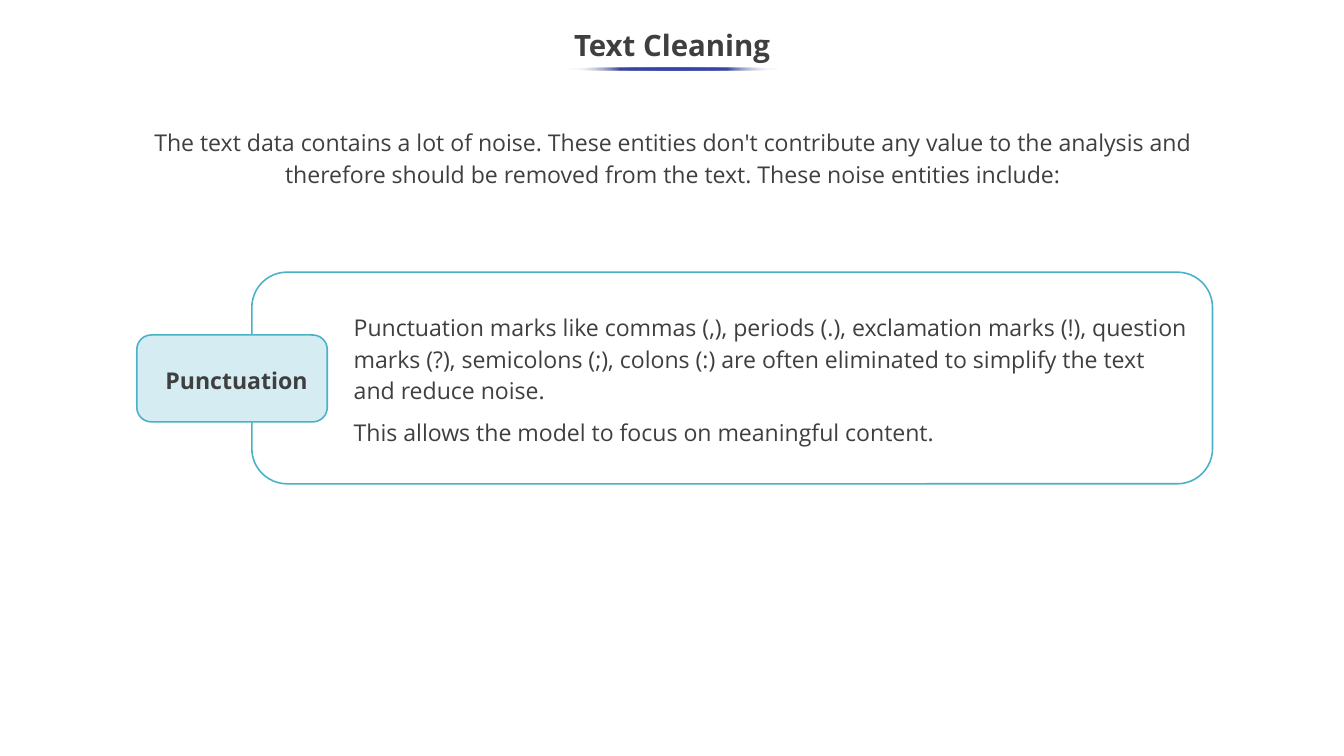
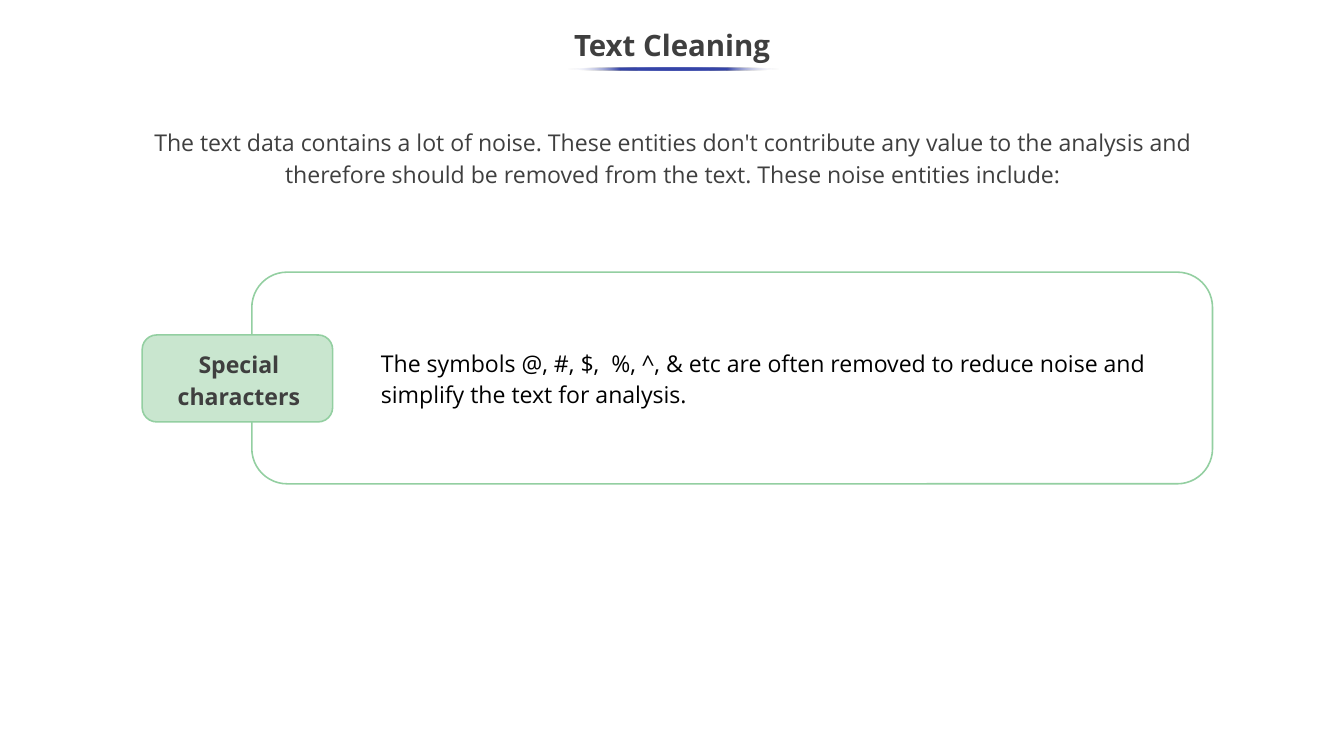
from dataclasses import dataclass

from lxml.etree import SubElement
from pptx import Presentation
from pptx.dml.color import RGBColor
from pptx.enum.shapes import MSO_SHAPE
from pptx.enum.text import MSO_ANCHOR, MSO_AUTO_SIZE, PP_ALIGN
from pptx.oxml.ns import qn
from pptx.util import Pt


@dataclass(frozen=True)
class Theme:
    font: str = "Open Sans"
    title_size: int = 28
    text_size: int = 22
    line_pitch: int = 30
    paragraph_gap: int = 10
    ink: str = "3F3F3F"
    black: str = "000000"
    white: str = "FFFFFF"
    rule: str = "3645A9"
    teal: str = "49B2C8"
    pale_teal: str = "D5EDF2"
    green: str = "93CFA1"
    pale_green: str = "C9E6CF"


THEME = Theme()
TITLE = "Text Cleaning"
INTRO = ("The text data contains a lot of noise. These entities don't contribute any value "
         "to the analysis and therefore should be removed from the text. "
         "These noise entities include:")


@dataclass(frozen=True)
class NoiseEntity:
    name: str
    details: tuple
    line: str
    fill: str
    ink: str
    tab_left: float
    name_area: tuple
    name_align: PP_ALIGN
    details_area: tuple


ENTITIES = (
    NoiseEntity(
        "Punctuation",
        ("Punctuation marks like commas (,), periods (.), exclamation marks (!), question "
         "marks (?), semicolons (;), colons (:) are often eliminated to simplify the text "
         "and reduce noise.",
         "This allows the model to focus on meaningful content."),
        THEME.teal, THEME.pale_teal, THEME.ink, 130.3,
        (150.5, 342, 152, 36), PP_ALIGN.LEFT, (329.8, 291.6, 812, 137)),
    NoiseEntity(
        "Special characters",
        ("The symbols @, #, $,  %, ^, & etc are often removed to reduce noise and "
         "simplify the text for analysis.",),
        THEME.green, THEME.pale_green, THEME.black, 135.4,
        (161.3, 326.9, 132.5, 66), PP_ALIGN.CENTER, (355.7, 325.4, 760, 66)),
)


def place(shape, area):
    shape.left, shape.top, shape.width, shape.height = (Pt(value) for value in area)


def write(frame, texts, size=THEME.text_size, color=THEME.ink, bold=False,
          align=PP_ALIGN.LEFT, spacing=Pt(THEME.line_pitch)):
    """Fill a text frame with one paragraph per text."""
    frame.word_wrap = True
    frame.auto_size = MSO_AUTO_SIZE.NONE
    for index, text in enumerate(texts):
        para = frame.add_paragraph() if index else frame.paragraphs[0]
        para.alignment = align
        para.line_spacing = spacing
        para.space_before = Pt(THEME.paragraph_gap if index else 0)
        span = para.add_run()
        span.text = text
        span.font.name = THEME.font
        span.font.size = Pt(size)
        span.font.bold = bold
        span.font.color.rgb = RGBColor.from_string(color)


def add_text(page, area, texts, **style):
    box = page.shapes.add_textbox(*(Pt(value) for value in area))
    write(box.text_frame, texts, **style)


def add_rounded_box(page, area, fill, line):
    box = page.shapes.add_shape(MSO_SHAPE.ROUNDED_RECTANGLE, *(Pt(value) for value in area))
    box.shadow.inherit = False
    box.fill.solid()
    box.fill.fore_color.rgb = RGBColor.from_string(fill)
    box.line.color.rgb = RGBColor.from_string(line)
    box.line.width = Pt(1.5)


def add_title_rule(page):
    """Thin ellipse that fades out at both ends."""
    rule = page.shapes.add_shape(MSO_SHAPE.OVAL, Pt(540.7), Pt(64.1), Pt(201.6), Pt(2.9))
    rule.shadow.inherit = False
    rule.line.fill.background()
    rule.fill.gradient()
    stops = rule.element.spPr.find(qn("a:gradFill")).find(qn("a:gsLst"))
    for stop in list(stops):
        stops.remove(stop)
    for percent in range(0, 101, 25):
        faded = percent in (0, 100)
        stop = SubElement(stops, qn("a:gs"), pos=str(percent * 1000))
        color = SubElement(stop, qn("a:srgbClr"), val=THEME.white if faded else THEME.rule)
        if faded:
            SubElement(color, qn("a:alpha"), val="0")
    rule.fill.gradient_angle = 180


def add_heading(page):
    title = page.shapes.title
    place(title, (0, 18, 1280, 54))
    title.text_frame.vertical_anchor = MSO_ANCHOR.MIDDLE
    write(title.text_frame, [TITLE], size=THEME.title_size, bold=True,
          align=PP_ALIGN.CENTER, spacing=0.9)
    add_title_rule(page)


def add_intro(page):
    intro = page.placeholders[1]
    place(intro, (101.5, 118.8, 1078.5, 71.3))
    frame = intro.text_frame
    frame.margin_top = frame.margin_bottom = 0
    frame.vertical_anchor = MSO_ANCHOR.TOP
    # Plain paragraph: no bullet and no hanging indent
    properties = frame.paragraphs[0]._p.get_or_add_pPr()
    properties.set("marL", "0")
    properties.set("indent", "0")
    SubElement(properties, qn("a:buNone"))
    write(frame, [INTRO], align=PP_ALIGN.CENTER)


def add_entity(page, entity):
    # Card, then the tab that overlaps its left edge
    add_rounded_box(page, (239.8, 259.2, 915, 201.6), THEME.white, entity.line)
    add_rounded_box(page, (entity.tab_left, 319, 181.4, 82.8), entity.fill, entity.line)
    add_text(page, entity.name_area, [entity.name], bold=True, align=entity.name_align)
    add_text(page, entity.details_area, entity.details, color=entity.ink)


def main():
    deck = Presentation()
    deck.slide_width, deck.slide_height = Pt(1280), Pt(720)
    for entity in ENTITIES:
        page = deck.slides.add_slide(deck.slide_layouts[1])
        add_heading(page)
        add_intro(page)
        add_entity(page, entity)
    deck.save("out.pptx")


if __name__ == "__main__":
    main()
